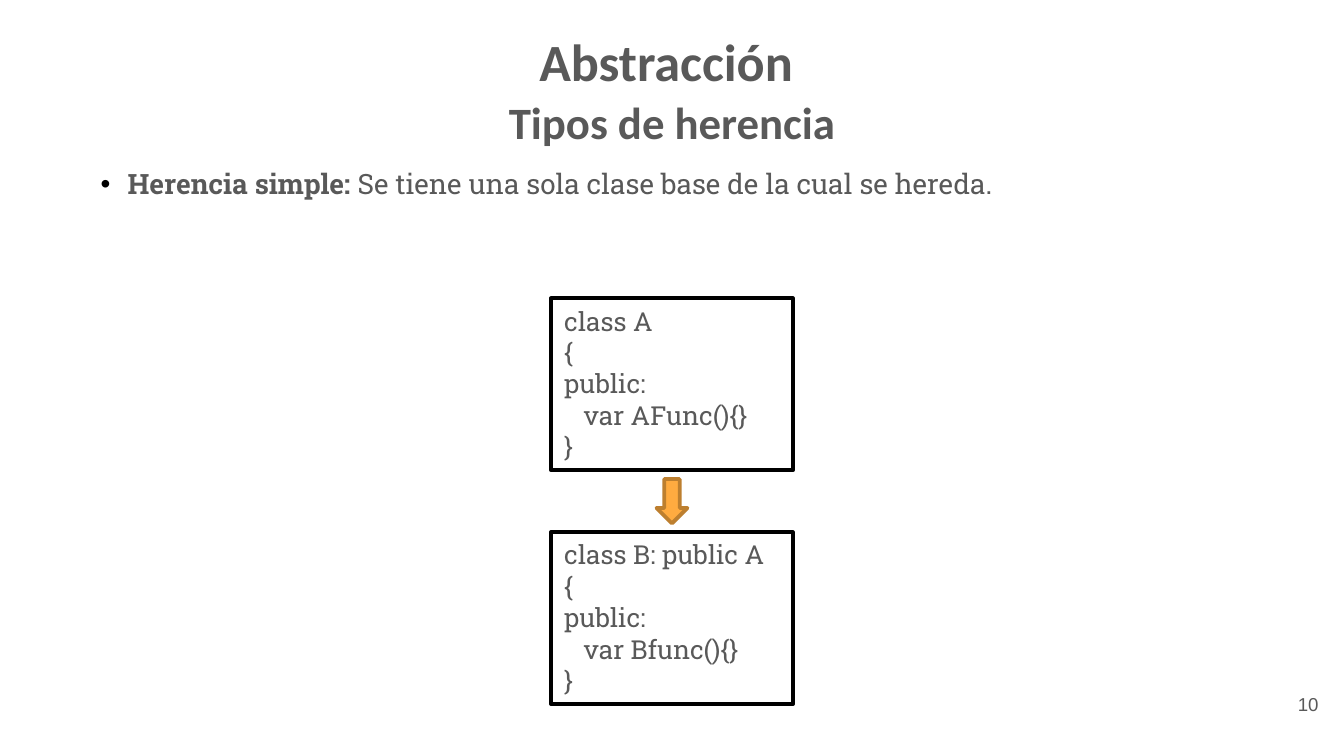
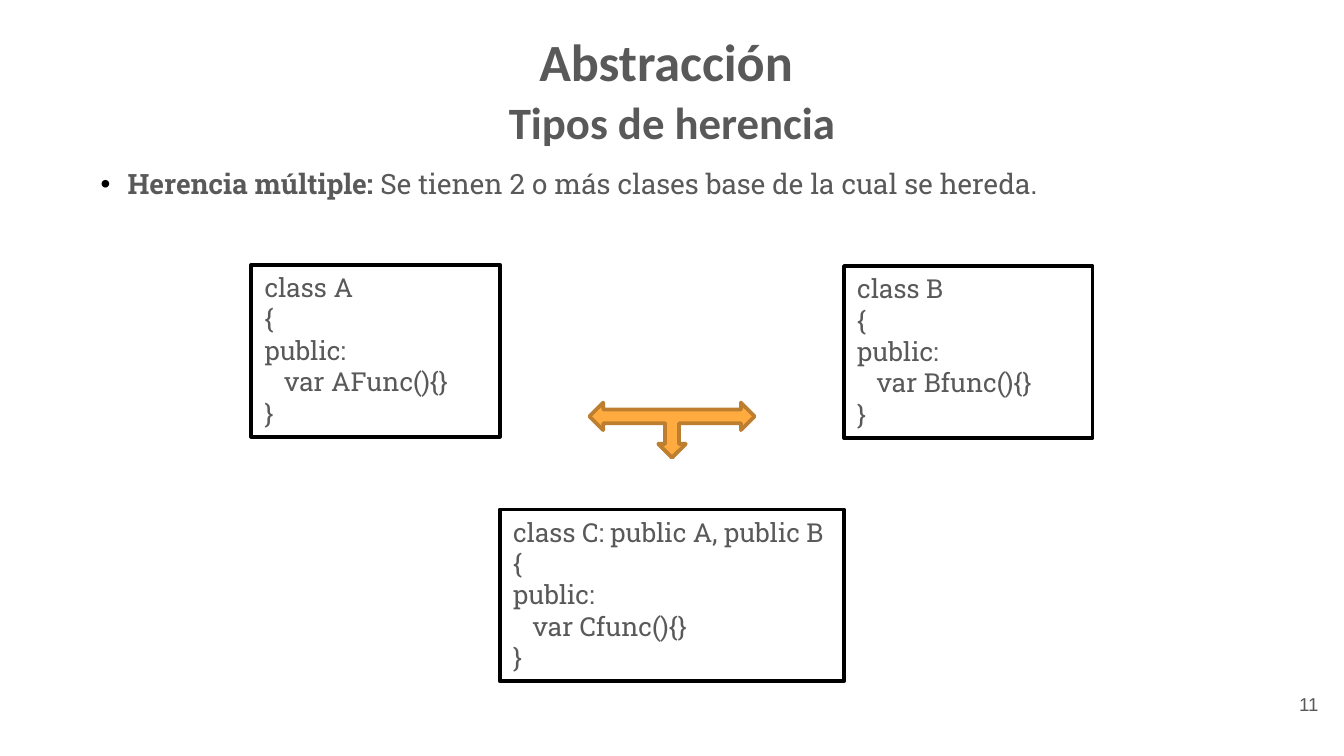
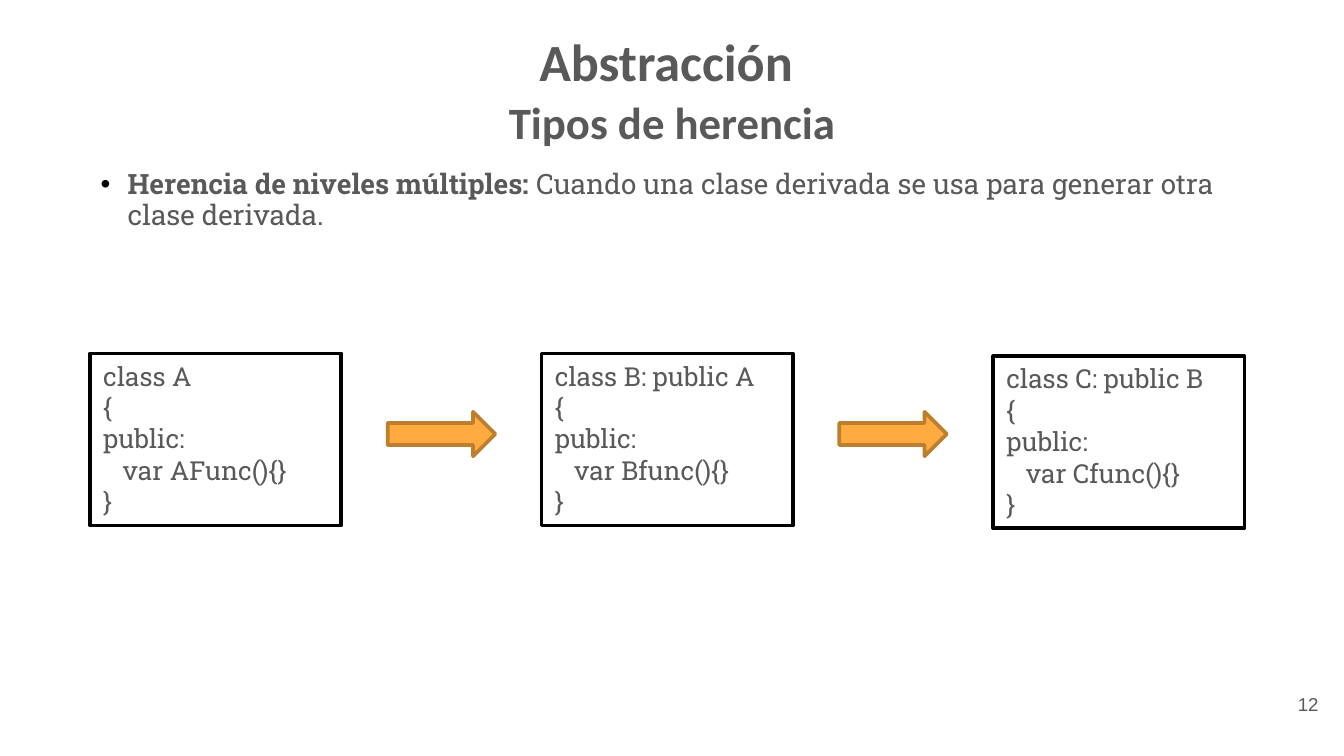
from dataclasses import dataclass

from lxml.etree import SubElement as Sub
from pptx import Presentation
from pptx.dml.color import RGBColor as Rgb
from pptx.enum.shapes import MSO_SHAPE as Shape
from pptx.enum.text import MSO_ANCHOR as Anchor
from pptx.enum.text import MSO_AUTO_SIZE as Fit
from pptx.enum.text import PP_ALIGN as Align
from pptx.oxml.ns import qn
from pptx.util import Inches, Pt


@dataclass(frozen=True)
class Theme:
    ink: str = "595959"
    black: str = "000000"
    white: str = "FFFFFF"
    amber: str = "FFAB40"
    brown: str = "BD7F2F"
    head: tuple = ("Calibri", 28, True)
    sub: tuple = ("Calibri", 24, True)
    body: tuple = ("Roboto Slab", 15, False)
    code: tuple = ("Roboto Slab", 14, False)
    foot: tuple = ("Arial", 10, False)
    line: float = 2


THEME = Theme()
WIDE = Inches(10)
HEAD = (0.34, 0.2, 9.32, 0.46)
SUB = (0.34, 0.68, 9.32, 0.46)
BODY = (0.67, 1.2, 8.76, 0.46)
FOOT = (9.27, 5.1, 0.6, 0.28)
BOX_H = 1.28


def assign(obj, fmt):
    for key, val in fmt.items():
        setattr(obj, key, val)


def style(font, kind, **more):
    name, size, bold = kind
    assign(font, {"name": name, "size": Pt(size), "bold": bold, **more})
    font.color.rgb = Rgb.from_string(THEME.ink)


def place(shape, box):
    keys = ("left", "top", "width", "height")
    assign(shape, {key: Inches(val) for key, val in zip(keys, box)})


def frame(shape, side, edge, anchor=Anchor.TOP, fit=Fit.NONE):
    text = shape.text_frame
    assign(text, {
        "word_wrap": True, "auto_size": fit, "vertical_anchor": anchor,
        "margin_left": Inches(side), "margin_right": Inches(side),
        "margin_top": Inches(edge), "margin_bottom": Inches(edge),
    })
    return text


def label(shape, words, kind, align=Align.CENTER, space=0.9, **opts):
    """Fill a shape with one line of text."""
    pad = opts.pop("pad", 0.07)
    para = frame(shape, pad, pad, **opts).paragraphs[0]
    assign(para, {"alignment": align, "line_spacing": space})
    run = para.add_run()
    run.text = words
    style(run.font, kind)


def textbox(slide, box):
    return slide.shapes.add_textbox(*map(Inches, box))


def bullet(slide, box, term, words):
    """Bulleted definition with a bold term."""
    para = frame(textbox(slide, box), 0.07, 0.07).paragraphs[0]
    props = para._p.get_or_add_pPr()
    props.set("marL", str(Inches(0.21)))
    props.set("indent", str(Inches(-0.2)))
    Sub(Sub(props, qn("a:buClr")), qn("a:srgbClr")).set("val", THEME.black)
    Sub(props, qn("a:buFont")).set("typeface", "Arial")
    Sub(props, qn("a:buChar")).set("char", "•")
    para.line_spacing = 0.9
    for part, bold in ((term + ": ", True), (words, False)):
        run = para.add_run()
        run.text = part
        style(run.font, THEME.body, bold=bold)


def solid(slide, kind, box, fill, line):
    shape = slide.shapes.add_shape(kind, *map(Inches, box))
    shape.shadow.inherit = False
    shape.fill.solid()
    shape.fill.fore_color.rgb = Rgb.from_string(fill)
    shape.line.color.rgb = Rgb.from_string(line)
    shape.line.width = Pt(THEME.line)
    return shape


def arrow(slide, kind, mid, size):
    """Block arrow centred on a point."""
    (x, y), (wide, high) = mid, size
    box = (x - wide / 2, y - high / 2, wide, high)
    return solid(slide, kind, box, THEME.amber, THEME.brown)


def code(slide, box, name, func):
    """Class listing in an outlined box."""
    shape = solid(slide, Shape.RECTANGLE, box, THEME.white, THEME.black)
    text = frame(shape, 0.1, 0.05, fit=Fit.SHAPE_TO_FIT_TEXT)
    lines = (f"class {name}", "{", "public:", f"   var {func}(){{}}", "}")
    for num, line in enumerate(lines):
        para = text.add_paragraph() if num else text.paragraphs[0]
        para.alignment = Align.LEFT
        run = para.add_run()
        run.text = line
        style(run.font, THEME.code)


def simple(slide, box):
    """Base class above its derived class."""
    x, y, wide, high = box
    code(slide, (x, y, wide, BOX_H), "A", "AFunc")
    code(slide, (x, y + high - BOX_H, wide, BOX_H), "B: public A", "Bfunc")
    arrow(slide, Shape.DOWN_ARROW, (x + wide / 2, y + high / 2), (0.23, 0.33))


def multiple(slide, box):
    """Two base classes on top, the derived class centred below."""
    x, y, wide, high = box
    base, child = 1.85, 2.56
    mid = x + wide / 2
    code(slide, (x, y, base, BOX_H), "A", "AFunc")
    code(slide, (x + wide - base, y + 0.01, base, BOX_H), "B", "Bfunc")
    code(slide, (mid - child / 2, y + high - BOX_H, child, BOX_H),
         "C: public A, public B", "Cfunc")
    fork = arrow(slide, Shape.LEFT_RIGHT_UP_ARROW, (mid, y + 1.23),
                 (1.23, 0.41))
    fork.rotation = 180


def levels(slide, box):
    """Chain of classes from left to right."""
    x, y, wide, high = box
    chain = (("A", "AFunc", 0), ("B: public A", "Bfunc", 0),
             ("C: public B", "Cfunc", 0.02))
    cell = 1.87
    step = (wide - cell) / (len(chain) - 1)
    lefts = [x + num * step for num in range(len(chain))]
    for left, (name, func, drop) in zip(lefts, chain):
        code(slide, (left, y + drop, cell, high), name, func)
    for left in lefts[1:]:
        mid = left - (step - cell) / 2
        arrow(slide, Shape.RIGHT_ARROW, (mid, y + 0.6), (0.8, 0.33))


def page(deck, num, term, words, draw, box):
    """Slide with the shared headings, a definition and a diagram."""
    slide = deck.slides.add_slide(deck.slide_layouts[5])
    title = slide.shapes.title
    place(title, HEAD)
    label(title, "Abstracción ", THEME.head)
    bullet(slide, BODY, term, words)
    label(textbox(slide, FOOT), str(num), THEME.foot, Align.RIGHT, 1.0,
          pad=0.06, anchor=Anchor.MIDDLE, fit=Fit.SHAPE_TO_FIT_TEXT)
    label(textbox(slide, SUB), "Tipos de herencia", THEME.sub)
    draw(slide, box)


PAGES = (
    ("Herencia simple",
     "Se tiene una sola clase base de la cual se hereda.",
     simple, (4.1, 2.22, 1.8, 3.02)),
    ("Herencia múltiple",
     "Se tienen 2 o más clases base de la cual se hereda.",
     multiple, (1.87, 1.97, 6.26, 3.1)),
    ("Herencia de niveles múltiples",
     "Cuando una clase derivada se usa para generar otra clase derivada.",
     levels, (0.67, 2.63, 8.59, BOX_H)),
)


def main():
    deck = Presentation()
    # Widescreen page, 16:9
    assign(deck, {"slide_width": WIDE, "slide_height": WIDE * 9 // 16})
    for num, parts in enumerate(PAGES, 10):
        page(deck, num, *parts)
    deck.save("out.pptx")


if __name__ == "__main__":
    main()
